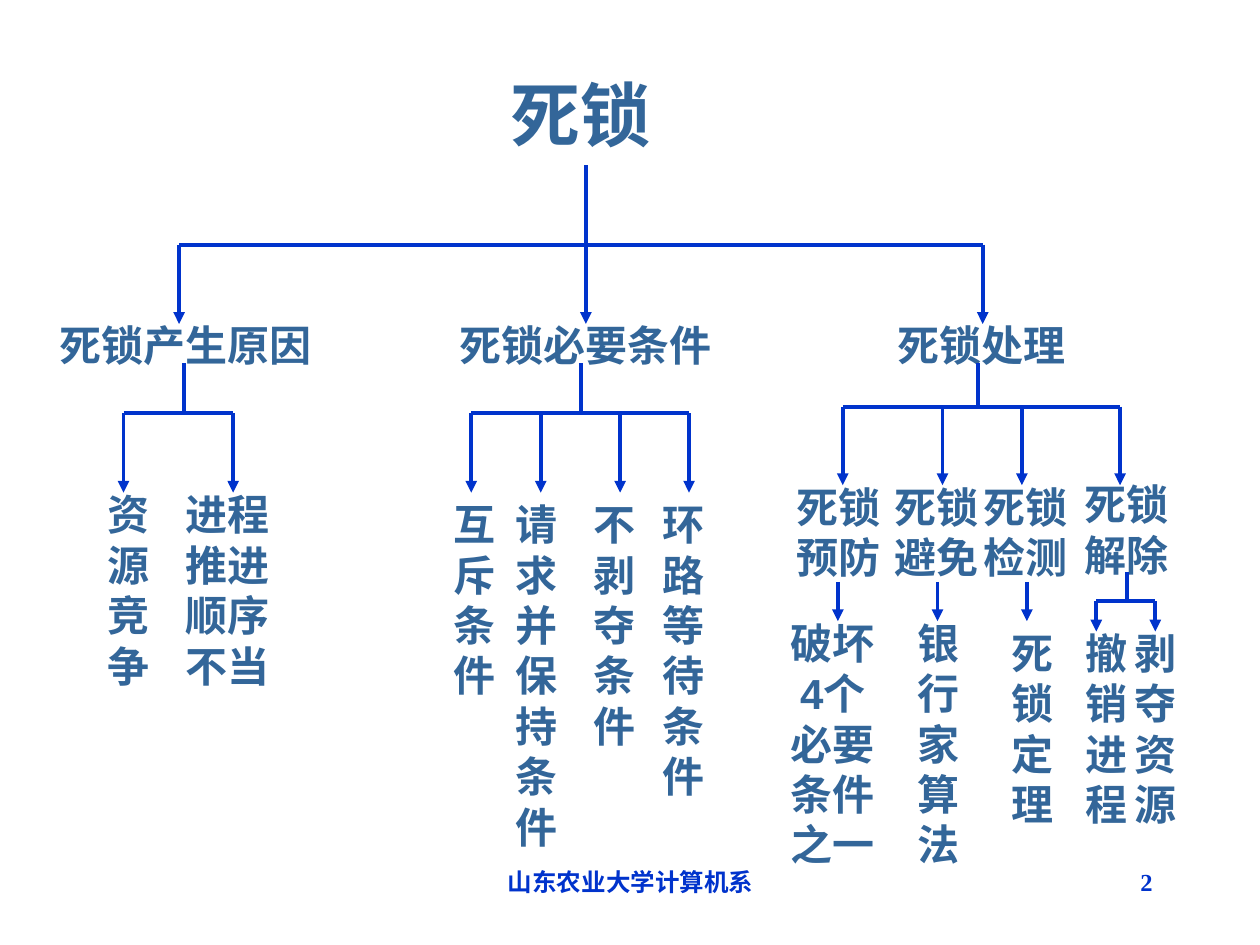
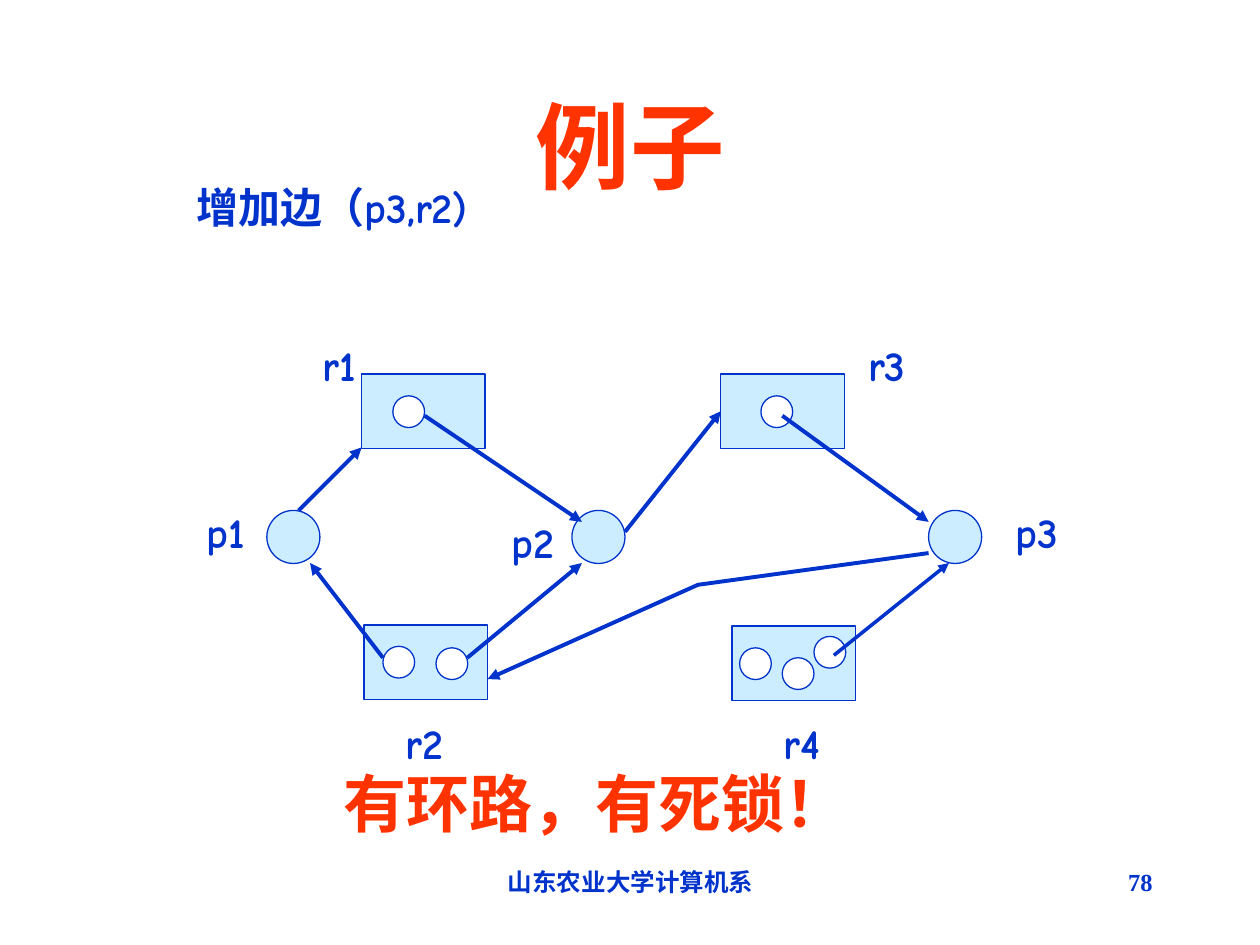
from dataclasses import dataclass
from typing import NamedTuple, Optional

import pptx
import pptx.dml.color
import pptx.enum.shapes
import pptx.enum.text
import pptx.oxml.ns
import pptx.util
from lxml import etree
from pptx.util import Cm

ALIGN = pptx.enum.text.PP_ALIGN
ANCHOR = pptx.enum.text.MSO_ANCHOR
FIT = pptx.enum.text.MSO_AUTO_SIZE
SHAPE = pptx.enum.shapes.MSO_SHAPE
STRAIGHT = pptx.enum.shapes.MSO_CONNECTOR.STRAIGHT
qn = pptx.oxml.ns.qn


@dataclass(frozen=True)
class Theme:
    blue: str = "0033CC"
    steel: str = "336699"
    red: str = "FF3300"
    pale: str = "CCECFF"
    white: str = "FFFFFF"
    sans: str = "Arial"
    serif: str = "Times New Roman"
    comic: str = "Comic Neue"
    footer_size: int = 14
    label_size: int = 24
    root_size: int = 40
    remark_size: int = 36
    title_size: int = 54
    arrow_width: float = 2.25
    outline_width: float = 0.75


THEME = Theme()


class Style(NamedTuple):
    font: Optional[str]
    size: int
    color: str


FOOTER = Style(THEME.serif, THEME.footer_size, THEME.blue)
ROOT = Style(THEME.sans, THEME.root_size, THEME.steel)
TOPIC = Style(THEME.sans, THEME.label_size, THEME.steel)
TITLE = Style(THEME.sans, THEME.title_size, THEME.red)
REMARK = Style(THEME.sans, THEME.remark_size, THEME.red)
NODE_NAME = Style(THEME.comic, THEME.label_size, THEME.blue)
CAPTION = Style(None, THEME.label_size, THEME.blue)


class Rect(NamedTuple):
    left: float
    top: float
    width: float
    height: float


class Topic(NamedTuple):
    text: str
    left: float
    top: float
    width: float
    lines: int
    align: ALIGN = ALIGN.CENTER


class Branch(NamedTuple):
    stem_x: float
    stem_top: float
    bar_y: float
    tip_y: float
    tips: tuple[float, ...]


class Arrow(NamedTuple):
    x1: float
    y1: float
    x2: float
    y2: float
    width: float = THEME.arrow_width


class Resource(NamedTuple):
    left: float
    top: float
    dots: tuple[tuple[float, float], ...]


class NodeName(NamedTuple):
    text: str
    left: float
    top: float
    width: float


LINE_HEIGHT = 1.02
BOX_PADDING = 0.25
TOPIC_TOP = 6.32
METHOD_TOP = 9.58
CONDITION_TOP = 9.93
CAUSE_TOP = 9.73
ACTION_TOP = 12.52

TOPICS = (
    Topic("死锁产生原因", 0.89, TOPIC_TOP, 5.69, 1),
    Topic("死锁必要条件", 8.51, TOPIC_TOP, 6.6, 1),
    Topic("死锁处理", 16.59, TOPIC_TOP, 6.4, 1),
    Topic("资源竞争", 1.91, CAUSE_TOP, 1.4, 4, ALIGN.LEFT),
    Topic("进程推进顺序不当", 3.3, CAUSE_TOP, 2.59, 4),
    Topic("互斥条件", 8.89, CONDITION_TOP, 0.99, 4, ALIGN.LEFT),
    Topic("请求并保持条件", 9.91, CONDITION_TOP, 1.8, 7),
    Topic("不剥夺条件", 11.71, CONDITION_TOP, 0.99, 5, ALIGN.LEFT),
    Topic("环路等待条件", 13.11, CONDITION_TOP, 0.99, 6, ALIGN.LEFT),
    Topic("死锁预防", 15.8, METHOD_TOP, 2.4, 2, ALIGN.LEFT),
    Topic("死锁避免", 17.78, METHOD_TOP, 2.4, 2, ALIGN.LEFT),
    Topic("死锁检测", 19.38, METHOD_TOP, 2.59, 2),
    Topic("死锁解除", 21.31, 9.53, 2.79, 2),
    Topic("破坏\n4个\n必要条件之一", 15.29, 12.32, 3, 5),
    Topic("银行家算法", 17.91, 12.32, 2, 5),
    Topic("死锁定理", 19.91, ACTION_TOP, 1.8, 4),
    Topic("撤销进程", 21.51, ACTION_TOP, 1.6, 4),
    Topic("剥夺资源", 22.5, ACTION_TOP, 1.6, 4),
)
BRANCHES = (
    Branch(11.81, 3.33, 4.93, 6.53, (3.61, 11.81, 19.81)),
    Branch(3.71, 7.32, 8.33, 9.93, (2.49, 4.7)),
    Branch(11.71, 7.32, 8.33, 9.93, (9.5, 10.9, 12.5, 13.89)),
    Branch(19.71, 7.32, 8.2, 9.78, (16.99, 19, 20.6, 22.58)),
    Branch(22.71, 11.53, 12.12, 12.73, (22.1, 23.29)),
)
METHOD_ARROWS = (16.89, 18.9, 20.7)

RESOURCE_SIZE = (2.49, 1.5)
DOT_SIZE = 0.64
PROCESS_SIZE = 1.07
PROCESS_TOP = 10.29
PROCESS_LEFTS = (5.38, 11.53, 18.72)
RESOURCES = {
    "r1": Resource(7.29, 7.54, ((7.92, 7.98),)),
    "r3": Resource(14.53, 7.54, ((15.34, 7.98),)),
    "r2": Resource(7.34, 12.6, ((7.72, 13.03), (8.79, 13.06))),
    "r4": Resource(14.76, 12.62, ((14.91, 13.06), (15.77, 13.26), (16.41, 12.83))),
}
NODE_NAMES = (
    NodeName("p1", 3.91, 10.08, 1.7),
    NodeName("p2", 10.06, 10.29, 1.7),
    NodeName("p3", 20.22, 10.08, 1.7),
    NodeName("r1", 6.25, 6.71, 1.47),
    NodeName("r3", 17.25, 6.71, 1.47),
    NodeName("r2", 7.92, 14.33, 1.47),
    NodeName("r4", 15.54, 14.33, 2.34),
)
EDGES = (
    Arrow(8.56, 8.38, 11.73, 10.52),
    Arrow(9.42, 13.26, 11.73, 11.35),
    Arrow(15.77, 8.38, 18.72, 10.52),
    Arrow(7.72, 13.26, 6.25, 11.35),
    Arrow(6.02, 10.29, 7.29, 9.02),
    Arrow(16.81, 13.21, 19.13, 11.35, 2),
)
P2_TO_R3 = Arrow(12.6, 10.72, 14.53, 8.29)
ADDED_EDGE = ((18.72, 11.15), (14.07, 11.79), (9.83, 13.69))


def rgb(code: str) -> pptx.dml.color.RGBColor:
    return pptx.dml.color.RGBColor.from_string(code)


def format_paragraph(para, style: Style, align: ALIGN) -> None:
    para.alignment = align
    if style.font:
        para.font.name = style.font
    para.font.size = pptx.util.Pt(style.size)
    para.font.bold = True
    para.font.color.rgb = rgb(style.color)


def add_text(page, text: str, rect: Rect, style: Style,
             align: ALIGN = ALIGN.LEFT, wrap: bool = True, fit: FIT = FIT.SHAPE_TO_FIT_TEXT):
    box = page.shapes.add_textbox(*map(Cm, rect))
    box.text_frame.word_wrap = wrap
    box.text_frame.auto_size = fit
    para = box.text_frame.paragraphs[0]
    para.text = text
    format_paragraph(para, style, align)
    return para


def start_page(deck, title: str, rect: Rect, style: Style, anchor: ANCHOR, number: int):
    page = deck.slides.add_slide(deck.slide_layouts[5])
    box = page.shapes.title
    box.left, box.top, box.width, box.height = map(Cm, rect)
    box.text_frame.text = title
    box.text_frame.word_wrap = True
    box.text_frame.auto_size = FIT.NONE
    box.text_frame.vertical_anchor = anchor
    format_paragraph(box.text_frame.paragraphs[0], style, ALIGN.CENTER)
    add_text(page, "山东农业大学计算机系", Rect(8.69, 17.35, 8.05, 1.27), FOOTER, ALIGN.CENTER, fit=FIT.NONE)
    add_text(page, str(number), Rect(18.21, 17.35, 5.28, 1.27), FOOTER, ALIGN.RIGHT, fit=FIT.NONE)
    return page


def style_line(item, width: float, head: bool) -> None:
    item.line.color.rgb = rgb(THEME.blue)
    item.line.width = pptx.util.Pt(width)
    properties = item.element.spPr
    if head:
        etree.SubElement(properties.find(qn("a:ln")), qn("a:tailEnd"), type="triangle")
    etree.SubElement(properties, qn("a:effectLst"))


def add_line(page, line: Arrow, head: bool = True):
    connector = page.shapes.add_connector(STRAIGHT, *map(Cm, line[:4]))
    style_line(connector, line.width, head)
    return connector


def add_node(page, kind: SHAPE, rect: Rect, fill: str):
    node = page.shapes.add_shape(kind, *map(Cm, rect))
    node.shadow.inherit = False
    node.fill.solid()
    node.fill.fore_color.rgb = rgb(fill)
    node.line.color.rgb = rgb(THEME.blue)
    node.line.width = pptx.util.Pt(THEME.outline_width)
    return node


def draw_branch(page, branch: Branch) -> None:
    stem_x, stem_top, bar_y, tip_y, tips = branch
    add_line(page, Arrow(tips[0], bar_y, tips[-1], bar_y), head=False)
    if stem_x not in tips:
        add_line(page, Arrow(stem_x, stem_top, stem_x, bar_y), head=False)
    for tip in tips:
        add_line(page, Arrow(tip, stem_top if tip == stem_x else bar_y, tip, tip_y))


def build_overview(deck) -> None:
    page = start_page(deck, "死锁", Rect(6.3, 1.32, 10.8, 1.96), ROOT, ANCHOR.TOP, 2)
    for topic in TOPICS:
        height = BOX_PADDING + topic.lines * LINE_HEIGHT
        add_text(page, topic.text, Rect(topic.left, topic.top, topic.width, height), TOPIC, topic.align)
    for branch in BRANCHES:
        draw_branch(page, branch)
    for x in METHOD_ARROWS:
        add_line(page, Arrow(x, 11.73, x, 12.52))


def build_example(deck) -> None:
    page = start_page(deck, "例子", Rect(1.91, 1.32, 21.59, 3.18), TITLE, ANCHOR.MIDDLE, 78)
    points = [(Cm(x), Cm(y)) for x, y in ADDED_EDGE]
    builder = page.shapes.build_freeform(*points[0])
    builder.add_line_segments(points[1:], close=False)
    added_edge = builder.convert_to_shape()
    added_edge.fill.background()
    style_line(added_edge, THEME.arrow_width, head=True)

    boxes = {}
    for name, resource in RESOURCES.items():
        rect = Rect(resource.left, resource.top, *RESOURCE_SIZE)
        boxes[name] = add_node(page, SHAPE.RECTANGLE, rect, THEME.pale)
        for left, top in resource.dots:
            add_node(page, SHAPE.OVAL, Rect(left, top, DOT_SIZE, DOT_SIZE), THEME.white)
    for left in PROCESS_LEFTS:
        add_node(page, SHAPE.OVAL, Rect(left, PROCESS_TOP, PROCESS_SIZE, PROCESS_SIZE), THEME.pale)
    for name in NODE_NAMES:
        add_text(page, name.text, Rect(name.left, name.top, name.width, 1.27), NODE_NAME)
    for edge in EDGES:
        add_line(page, edge)
    add_line(page, P2_TO_R3).end_connect(boxes["r3"], 1)

    caption = add_text(page, "", Rect(3.71, 3.53, 14.81, 1.27), CAPTION)
    for text, font in (("增加边", THEME.serif), ("（p3,r2)", THEME.comic)):
        span = caption.add_run()
        span.text = text
        span.font.name = font
    add_text(page, "有环路，有死锁！", Rect(6.68, 15.29, 10.67, 1.78), REMARK, ALIGN.CENTER, wrap=False)


def main() -> None:
    deck = pptx.Presentation()
    deck.slide_width, deck.slide_height = Cm(25.4), Cm(19.05)
    build_overview(deck)
    build_example(deck)
    deck.save("out.pptx")


if __name__ == "__main__":
    main()
